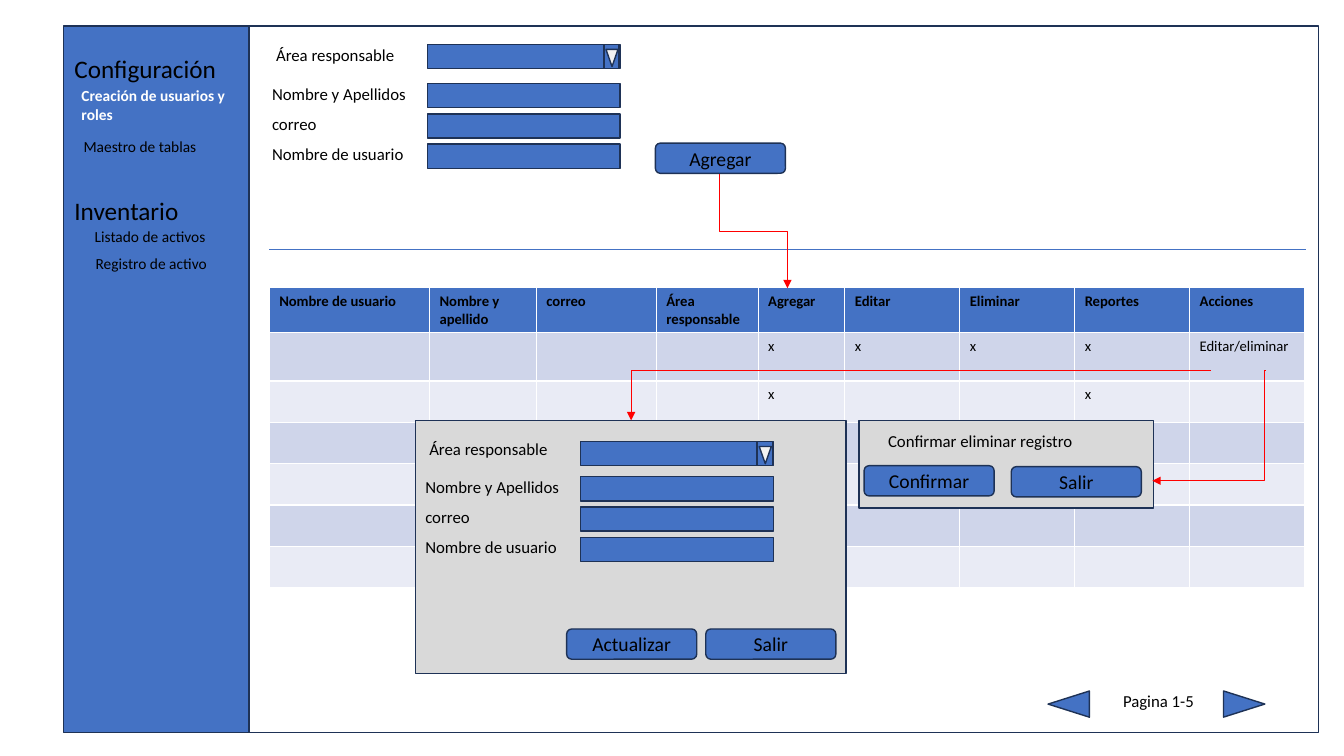
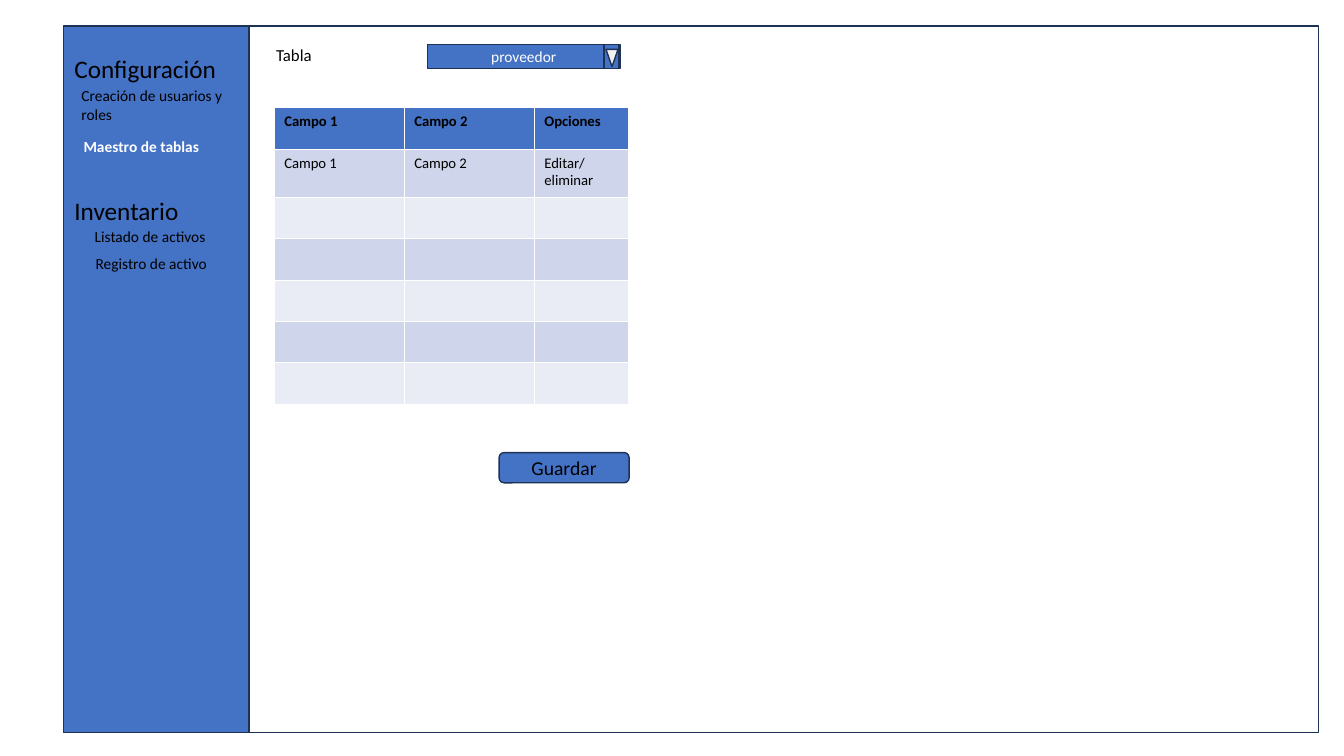
"""Build two wireframe screens: user set-up and table upkeep."""
from dataclasses import dataclass

from lxml import etree
from pptx import Presentation
from pptx.dml.color import RGBColor
from pptx.enum.shapes import MSO_CONNECTOR, MSO_SHAPE
from pptx.enum.text import MSO_ANCHOR, MSO_AUTO_SIZE, PP_ALIGN
from pptx.oxml.ns import qn
from pptx.util import Inches, Pt

RECT = MSO_SHAPE.RECTANGLE
ROUND = MSO_SHAPE.ROUNDED_RECTANGLE
ARROW = MSO_SHAPE.ISOSCELES_TRIANGLE
LINE = MSO_CONNECTOR.STRAIGHT
ELBOW = MSO_CONNECTOR.ELBOW
MIDDLE = MSO_ANCHOR.MIDDLE
CENTER = PP_ALIGN.CENTER
GROW = MSO_AUTO_SIZE.SHAPE_TO_FIT_TEXT


@dataclass(frozen=True)
class Theme:
    font: str = "Calibri"
    blue: str = "4472C4"
    navy: str = "1E3256"
    black: str = "000000"
    white: str = "FFFFFF"
    pale: str = "F2F2F2"
    gray: str = "D9D9D9"
    red: str = "FF0000"
    bands: tuple = ("E9EBF5", "CFD5EA")
    head: float = 18
    push: float = 14
    label: float = 12
    item: float = 11
    cell: float = 10.5


theme = Theme()


def write(frame, words, size, color=theme.black, bold=False):
    run = frame.paragraphs[0].add_run()
    run.text = words
    run.font.name = theme.font
    run.font.size = Pt(size)
    run.font.bold = bold
    run.font.color.rgb = RGBColor.from_string(color)


def draw(shapes, kind, spot, fill=None, words="", size=theme.push, color=theme.black, bold=False):
    area = [Inches(n) for n in spot]
    if kind is None:
        shape = shapes.add_textbox(*area)
        shape.text_frame.word_wrap = True
        shape.text_frame.auto_size = GROW
    else:
        shape = shapes.add_shape(kind, *area)
        shape.shadow.inherit = False
        shape.line.color.rgb = RGBColor.from_string(theme.navy)
        shape.line.width = Pt(1)
        shape.text_frame.vertical_anchor = MIDDLE
        shape.text_frame.paragraphs[0].alignment = CENTER
        if fill:
            shape.fill.solid()
            shape.fill.fore_color.rgb = RGBColor.from_string(fill)
        else:
            shape.fill.background()
    if words:
        write(shape.text_frame, words, size, color, bold)
    return shape


deck = Presentation()
deck.slide_width = Inches(13.33)
deck.slide_height = Inches(7.5)

heads = [("Configuración", 0.48), ("Inventario", 1.89)]
items = [
    ("Creación de usuarios y roles", 0.71, 0.81, 0.47),
    ("Maestro de tablas", 0.73, 1.31, 0.29),
    ("Listado de activos", 0.84, 2.2, 0.29),
    ("Registro de activo", 0.85, 2.47, 0.29),
]
pages = []
for live in ("Creación de usuarios y roles", "Maestro de tablas"):
    shapes = deck.slides.add_slide(deck.slide_layouts[6]).shapes
    draw(shapes, RECT, (0.64, 0.26, 12.44, 7.01))
    draw(shapes, RECT, (0.63, 0.26, 1.84, 7.01), theme.blue)
    for words, top in heads:
        draw(shapes, None, (0.64, top, 1.84, 0.4), words=words, size=theme.head)
    for words, left, top, high in items:
        on = words == live
        draw(shapes, None, (left, top, 1.91, high), words=words, size=theme.item,
             color=theme.white if on else theme.black, bold=on)
    pages.append(shapes)
users, upkeep = pages

tables = [
    (users, 2.67, 2.85, [1.59, 1.06, 1.19, 1.01, 0.86] + [1.14] * 4, [
        ["Nombre de usuario", "Nombre y apellido", "correo", "Área responsable",
         "Agregar", "Editar", "Eliminar", "Reportes", "Acciones"],
        ["", "", "", "", "x", "x", "x", "x", "Editar/eliminar"],
        ["", "", "", "", "x", "", "", "x", ""],
    ]),
    (upkeep, 2.72, 1.07, [1.29, 1.29, 0.93], [
        ["Campo 1", "Campo 2", "Opciones"],
        ["Campo 1", "Campo 2", "Editar/ eliminar"],
    ]),
]
highs = [0.41, 0.48] + [0.41] * 5
for shapes, left, top, wides, texts in tables:
    area = [Inches(n) for n in (left, top, sum(wides), sum(highs))]
    table = shapes.add_table(len(highs), len(wides), *area).table
    for col, wide in zip(table.columns, wides):
        col.width = Inches(wide)
    for r, high in enumerate(highs):
        table.rows[r].height = Inches(high)
        for c in range(len(wides)):
            cell = table.cell(r, c)
            cell.fill.solid()
            cell.fill.fore_color.rgb = RGBColor.from_string(theme.bands[r % 2] if r else theme.blue)
            if r < len(texts) and texts[r][c]:
                write(cell.text_frame, texts[r][c], theme.cell, bold=r == 0)

draw(users, RECT, (4.12, 4.17, 4.27, 2.51), theme.gray)
draw(users, RECT, (8.52, 4.17, 2.92, 0.87), theme.gray)
draw(users, None, (8.71, 4.22, 2.66, 0.3), words="Confirmar eliminar registro", size=theme.label)

for left, top in ((2.6, 0.78), (4.12, 4.68)):
    for n, words in enumerate(("Nombre y Apellidos", "correo", "Nombre de usuario")):
        row = top + 0.3 * n
        draw(users, None, (left, row, 2.66, 0.3), words=words, size=theme.label)
        draw(users, RECT, (left + 1.64, row + 0.05, 1.91, 0.24), theme.blue)

picks = [
    (users, 2.64, 0.39, 0.44, "Área responsable", ""),
    (users, 4.16, 4.3, 4.38, "Área responsable", ""),
    (upkeep, 2.64, 0.39, 0.44, "Tabla", "proveedor"),
]
for shapes, left, top, drop, words, choice in picks:
    draw(shapes, None, (left, top, 2.66, 0.3), words=words, size=theme.label)
    group = shapes.add_group_shape().shapes
    draw(group, RECT, (left + 1.6, drop, 1.91, 0.24), theme.blue, choice, theme.item, theme.white)
    draw(group, RECT, (left + 3.35, drop, 0.15, 0.24), theme.blue)
    draw(group, ARROW, (left + 3.37, drop + 0.05, 0.12, 0.17), theme.pale).rotation = 180

keys = [
    (users, "Agregar", 6.5, 1.42),
    (users, "Actualizar", 5.62, 6.24),
    (users, "Salir", 7, 6.24),
    (users, "Confirmar", 8.57, 4.62),
    (users, "Salir", 10.03, 4.63),
    (upkeep, "Guardar", 4.95, 4.49),
]
for shapes, words, left, top in keys:
    draw(shapes, ROUND, (left, top, 1.29, 0.3), theme.blue, words)

for left, turn in ((10.47, 270), (12.21, 90)):
    draw(users, ARROW, (left, 6.78, 0.26, 0.41), theme.blue).rotation = turn
draw(users, None, (11.04, 6.8, 0.97, 0.3), words="Pagina 1-5", size=theme.label)

links = [
    (LINE, (2.67, 2.47, 12.95, 2.47), theme.blue, "line", 0, None),
    (ELBOW, (12.01, 3.67, 6.26, 4.17), theme.red, "bentConnector2", 0, None),
    (ELBOW, (12.55, 3.67, 11.43, 4.77), theme.red, "bentConnector3", 0, 700),
    (ELBOW, (8.04, 1.96, 6.91, 2.63), theme.red, "bentConnector3", 270, None),
]
for kind, ends, color, form, turn, bend in links:
    link = users.add_connector(kind, *[Inches(n) for n in ends])
    link.line.color.rgb = RGBColor.from_string(color)
    link.line.width = Pt(0.5)
    props = link._element.spPr
    etree.SubElement(props, qn("a:effectLst"))
    shape = props.find(qn("a:prstGeom"))
    shape.set("prst", form)
    if turn:
        props.find(qn("a:xfrm")).set("rot", str(turn * 60000))
    if bend:
        guides = shape.find(qn("a:avLst"))
        etree.SubElement(guides, qn("a:gd"), name="adj1", fmla=f"val {bend}")
    if kind == ELBOW:
        etree.SubElement(props.find(qn("a:ln")), qn("a:tailEnd"), type="triangle")

deck.save("out.pptx")
